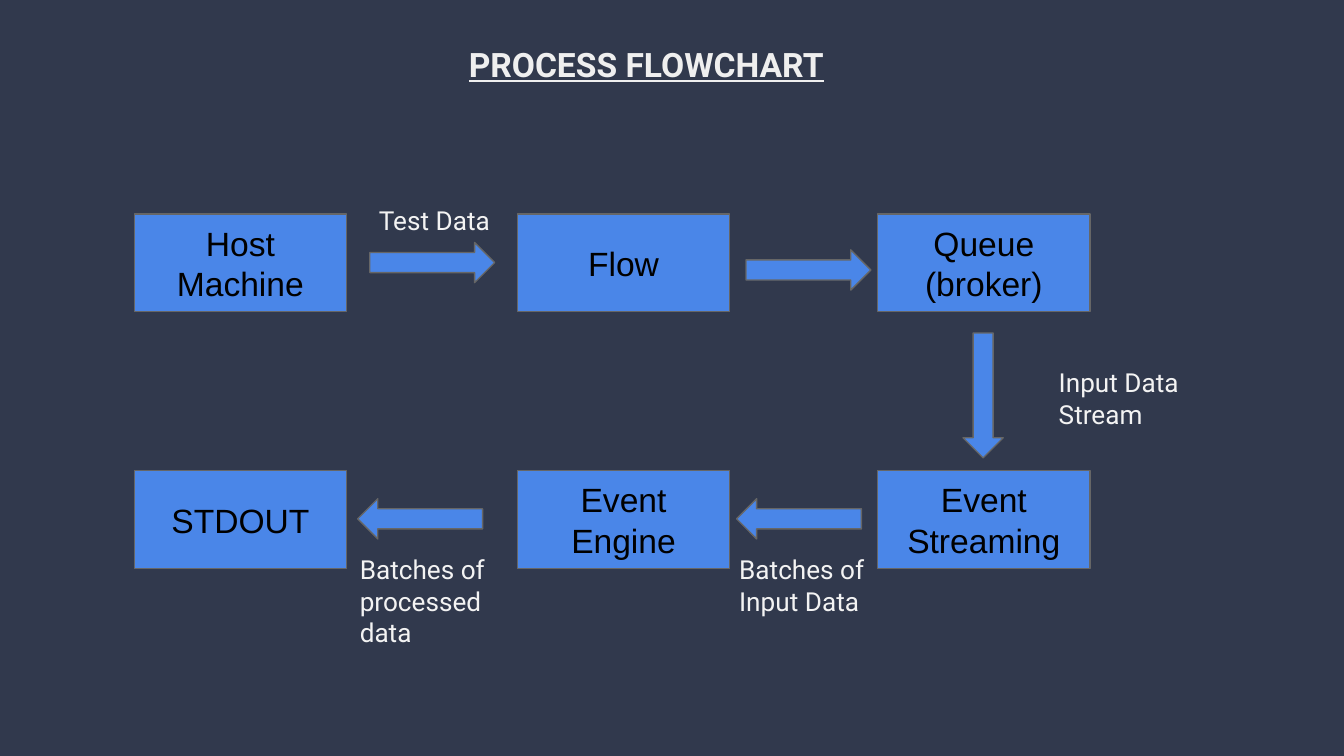
import pptx
import pptx.util
import pptx.dml.color
import pptx.enum.shapes
import pptx.enum.text

Cm, Pt = pptx.util.Cm, pptx.util.Pt
Kind = pptx.enum.shapes.MSO_SHAPE
Anchor = pptx.enum.text.MSO_ANCHOR
Align = pptx.enum.text.PP_ALIGN
color = pptx.dml.color.RGBColor.from_string


def write(shape, lines, size, face, tint, align, anchor):
    """Fill a shape with one paragraph per line; return the last run's font."""
    frame = shape.text_frame
    frame.word_wrap = True
    frame.auto_size = pptx.enum.text.MSO_AUTO_SIZE.NONE
    frame.vertical_anchor = anchor
    frame.margin_left = frame.margin_right = Cm(0.25)
    frame.margin_top = frame.margin_bottom = Cm(0.25)
    for i, line in enumerate(lines):
        para = frame.add_paragraph() if i else frame.paragraphs[0]
        para.alignment = align
        run = para.add_run()
        run.text = line
        font = run.font
        font.size, font.name = Pt(size), face
        font.color.rgb = color(tint)
    return font


def draw(kind, x, y, w, h):
    """Add a blue shape with a thin grey outline."""
    shape = slide.shapes.add_shape(kind, Cm(x), Cm(y), Cm(w), Cm(h))
    shape.shadow.inherit = False
    shape.fill.solid()
    shape.fill.fore_color.rgb = color("4A86E8")
    shape.line.color.rgb = color("666666")
    shape.line.width = Pt(0.75)
    return shape


# Slide and background
deck = pptx.Presentation()
deck.slide_width, deck.slide_height = Cm(25.4), Cm(14.28)
slide = deck.slides.add_slide(deck.slide_layouts[5])
slide.background.fill.solid()
slide.background.fill.fore_color.rgb = color("31394D")

# Title
title = slide.shapes.title
title.left, title.top = Cm(8), Cm(0.58)
title.width, title.height = Cm(8.43), Cm(1.1)
font = write(title, ["PROCESS FLOWCHART"], 18, "Roboto", "EFEFEF",
             Align.CENTER, Anchor.TOP)
font.bold = font.underline = True

# Process boxes: two rows on three columns
cols = [2.54, 9.78, 16.59]
rows = [
    (4.04, [["Host Machine"], ["Flow"], ["Queue", "(broker)"]]),
    (8.89, [["STDOUT"], ["Event Engine"], ["Event Streaming"]]),
]
for y, names in rows:
    for x, lines in zip(cols, names):
        box = draw(Kind.RECTANGLE, x, y, 4.01, 1.85)
        write(box, lines, 18, "Arial", "000000", Align.CENTER, Anchor.MIDDLE)

# Arrows: left, top, turn
arrows = [
    (6.99, 4.58, 0),
    (14.1, 4.72, 0),
    (17.4, 7.09, 90),
    (13.92, 9.42, 180),
    (6.76, 9.42, 180),
]
for x, y, turn in arrows:
    arrow = draw(Kind.RIGHT_ARROW, x, y, 2.36, 0.76)
    arrow.rotation = turn

# Labels beside the arrows
labels = [
    (6.91, 3.61, "Test Data"),
    (19.76, 6.68, "Input Data Stream"),
    (13.72, 10.21, "Batches of Input Data"),
    (6.55, 10.21, "Batches of processed data"),
]
for x, y, text in labels:
    label = slide.shapes.add_textbox(Cm(x), Cm(y), Cm(3.1), Cm(0.84))
    write(label, [text], 14, "Roboto", "F3F3F3", Align.LEFT, Anchor.TOP)

deck.save("out.pptx")
